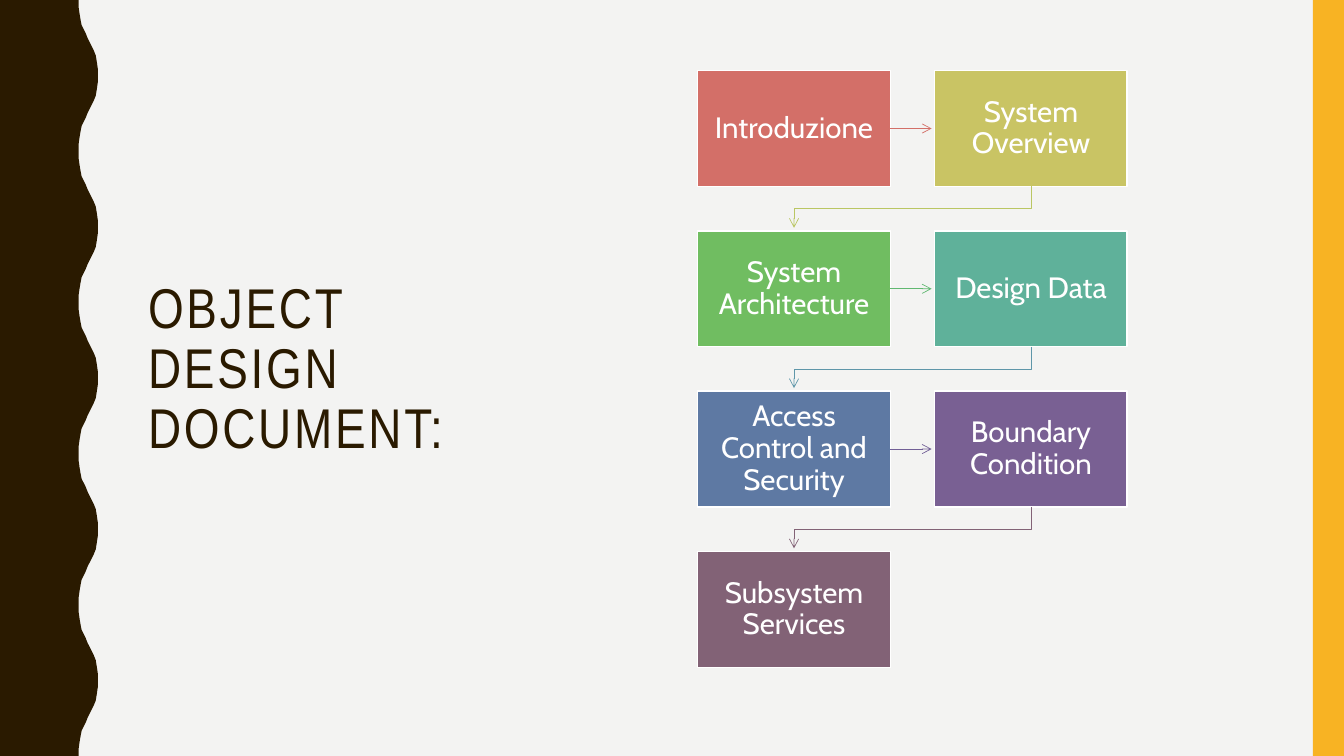
from pptx import Presentation
from pptx.dml.color import RGBColor
from pptx.enum.shapes import MSO_CONNECTOR, MSO_SHAPE
from pptx.enum.text import MSO_ANCHOR, PP_ALIGN
from pptx.oxml.ns import qn
from pptx.oxml.xmlchemy import OxmlElement
from pptx.util import Inches, Pt

RECT = MSO_SHAPE.RECTANGLE
STRAIGHT = MSO_CONNECTOR.STRAIGHT
MIDDLE = MSO_ANCHOR.MIDDLE
LEFT, CENTER = PP_ALIGN.LEFT, PP_ALIGN.CENTER

COLORS = {
    "back": "F3F3F2", "dark": "2A1A00", "gold": "F8B323", "white": "FFFFFF",
    "red": "D36F68", "olive": "C9C464", "green": "70BD61", "teal": "5FB19A",
    "blue": "5E79A3", "violet": "796093", "plum": "826276",
    "lime": "BAC663", "mint": "60B871", "steel": "5E96A9", "indigo": "715F96",
}
STEPS = [
    ("Introduzione", "red", "red"),
    ("System Overview", "olive", "lime"),
    ("System Architecture", "green", "mint"),
    ("Design Data", "teal", "steel"),
    ("Access Control and Security", "blue", "indigo"),
    ("Boundary Condition", "violet", "plum"),
    ("Subsystem Services", "plum", None),
]
CREST = [(0.78, 0), (0.78, 0.07), (0.79, 0.14), (0.8, 0.2), (0.81, 0.25),
         (0.83, 0.29), (0.85, 0.33), (0.87, 0.38), (0.89, 0.42), (0.91, 0.46),
         (0.93, 0.5), (0.95, 0.55), (0.96, 0.61), (0.97, 0.68), (0.97, 0.75)]
PERIOD, WAVES = 1.5, 5
BOX_X, BOX_Y, BOX_W, BOX_H = 6.92, 0.7, 1.91, 1.15
STEP_X, STEP_Y = 2.35, 1.59
GAP, DROP = 0.41, 0.22


def color(name):
    return RGBColor.from_string(COLORS[name])


def paint(shape, fill, line=None):
    shape.shadow.inherit = False
    shape.fill.solid()
    shape.fill.fore_color.rgb = color(fill)
    if line:
        shape.line.color.rgb = color(line)
        shape.line.width = Pt(1)
    else:
        shape.line.fill.background()


def write(shape, text, size, font, ink, align=CENTER, inset=0.09, track=0):
    frame = shape.text_frame
    frame.word_wrap = True
    frame.vertical_anchor = MIDDLE
    frame.margin_left = frame.margin_right = Inches(inset)
    frame.margin_top = frame.margin_bottom = Inches(inset)
    para = frame.paragraphs[0]
    para.alignment = align
    para.line_spacing = 0.9
    run = para.add_run()
    run.text = text
    run.font.size = Pt(size)
    run.font.name = font
    run.font.color.rgb = color(ink)
    if track:
        run.font._element.set("spc", str(track * 100))


def add_box(slide, x, y, w, h, fill, line=None):
    box = slide.shapes.add_shape(RECT, Inches(x), Inches(y), Inches(w), Inches(h))
    paint(box, fill, line)
    return box


def draw_path(slide, points, close):
    spots = [(Inches(x), Inches(y)) for x, y in points]
    pen = slide.shapes.build_freeform(*spots[0])
    pen.add_line_segments(spots[1:], close=close)
    return pen.convert_to_shape()


def add_wave(slide):
    fall = [(x, PERIOD - y) for x, y in reversed(CREST[1:-1])]
    edge = [(x, y + PERIOD * n) for n in range(WAVES) for x, y in CREST + fall]
    end = PERIOD * WAVES
    points = [(0, 0)] + edge + [(CREST[0][0], end), (0, end)]
    paint(draw_path(slide, points, True), "dark")


def style_arrow(shape, ink):
    shape.line.color.rgb = color(ink)
    shape.line.width = Pt(0.5)
    head = OxmlElement("a:tailEnd")
    head.set("type", "arrow")
    shape._element.spPr.find(qn("a:ln")).append(head)


def add_arrow(slide, box, x, y, ink):
    link = slide.shapes.add_connector(
        STRAIGHT, Inches(x), Inches(y), Inches(x + GAP), Inches(y))
    link.begin_connect(box, 3)
    style_arrow(link, ink)
    link._element.spPr.append(OxmlElement("a:effectLst"))


def add_bend(slide, x, y, ink):
    left, turn = x - STEP_X, y + DROP
    points = [(x, y), (x, turn), (left, turn), (left, y + GAP)]
    bend = draw_path(slide, points, False)
    bend.shadow.inherit = False
    bend.fill.background()
    style_arrow(bend, ink)


def add_step(slide, index, text, fill, ink):
    row, col = divmod(index, 2)
    x, y = BOX_X + col * STEP_X, BOX_Y + row * STEP_Y
    box = add_box(slide, x, y, BOX_W, BOX_H, fill, "white")
    write(box, text, 21, "Cabin", "white")
    if ink and col == 0:
        add_arrow(slide, box, x + BOX_W, y + BOX_H / 2, ink)
    elif ink:
        add_bend(slide, x + BOX_W / 2, y + BOX_H, ink)


def main():
    deck = Presentation()
    deck.slide_width, deck.slide_height = Inches(13.33), Inches(7.5)
    slide = deck.slides.add_slide(deck.slide_layouts[6])
    slide.background.fill.solid()
    slide.background.fill.fore_color.rgb = color("back")
    add_wave(slide)
    add_box(slide, 13.02, 0, 0.31, 7.5, "gold")
    title = slide.shapes.add_textbox(
        Inches(1.37), Inches(0.71), Inches(4.12), Inches(5.93))
    write(title, "OBJECT DESIGN DOCUMENT:", 40, "Arial Narrow", "dark",
          align=LEFT, inset=0.1, track=2)
    for index, step in enumerate(STEPS):
        add_step(slide, index, *step)
    deck.save("out.pptx")


if __name__ == "__main__":
    main()
